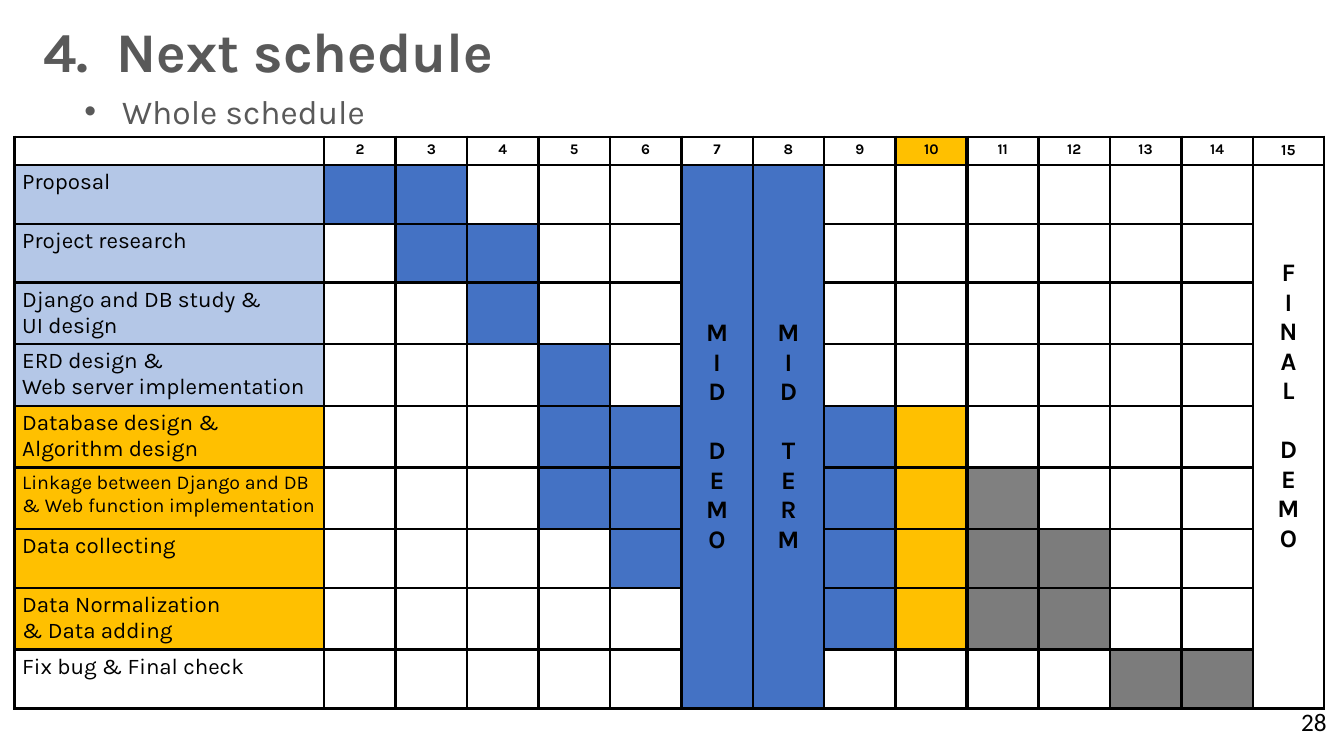
from lxml.etree import SubElement
from pptx import Presentation
from pptx.dml.color import RGBColor
from pptx.enum.text import MSO_ANCHOR as Anchor, PP_ALIGN as Align
from pptx.oxml.ns import qn
from pptx.util import Cm, Pt

FILLS = {".": "FFFFFF", "B": "4472C4", "Y": "FFC000", "G": "7C7C7C", "S": "808080"}
DONE, CURRENT, LATER = "B4C7E7", "FFC000", "FFFFFF"
FIRST_WEEK, CURRENT_WEEK = 2, 10
THICK_AFTER = (3, 9)  # columns followed by a heavier rule

# label lines, label size, label fill, row height, weeks 2 to 15
TASKS = [
    (["Proposal"], 16, DONE, 1.48, "BB...BB......."),
    (["Project research"], 16, DONE, 1.48, ".BB..BB......."),
    (["Django and DB study &", "UI design"], 16, DONE, 1.55, "..B..BB......."),
    (["ERD design &", "Web server implementation"], 16, DONE, 1.55, "...B.BB......."),
    (["Database design & Algorithm design"], 16, CURRENT, 1.55, "...BBBBBY....."),
    (["Linkage between Django and DB & Web function implementation"], 14, CURRENT, 1.55,
     "...BBBBBYS...."),
    (["Data collecting"], 16, CURRENT, 1.48, "....BBBBYGG..."),
    (["Data Normalization", "& Data adding"], 16, CURRENT, 1.55, ".....BBBYGG..."),
    (["Fix bug & Final check"], 16, LATER, 1.48, ".....BB....GG."),
]
MILESTONES = {6: "MID DEMO", 7: "MID TERM", 14: "FINAL DEMO"}


def rgb(value):
    return RGBColor.from_string(value)


def write(frame, lines, size, color="000000", bold=False, align=Align.LEFT, font="Karla"):
    """Put one paragraph per line into the text frame."""
    for index, line in enumerate(lines):
        paragraph = frame.add_paragraph() if index else frame.paragraphs[0]
        paragraph.alignment = align
        run = paragraph.add_run()
        run.text = line
        run.font.name, run.font.size, run.font.bold = font, Pt(size), bold
        run.font.color.rgb = rgb(color)


presentation = Presentation()
presentation.slide_width, presentation.slide_height = Cm(33.87), Cm(19.05)
slide = presentation.slides.add_slide(presentation.slide_layouts[6])

# Headings
title = slide.shapes.add_textbox(Cm(0.84), Cm(0.3), Cm(15.54), Cm(1.96)).text_frame
title.word_wrap = True
write(title, ["4.  Next schedule"], 40, "595959", bold=True)

subtitle = slide.shapes.add_textbox(Cm(1.88), Cm(2.16), Cm(32), Cm(1.27)).text_frame
subtitle.word_wrap = True
write(subtitle, ["Whole schedule"], 24, "595959")
bullet_properties = subtitle.paragraphs[0]._p.get_or_add_pPr()
bullet_properties.set("marL", str(Cm(0.95)))
bullet_properties.set("indent", str(-Cm(0.95)))
SubElement(bullet_properties, qn("a:buFont"), typeface="Arial")
SubElement(bullet_properties, qn("a:buChar"), char="•")

# Schedule grid
row_total, column_total = len(TASKS) + 1, 15
table = slide.shapes.add_table(
    row_total, column_total, Cm(0.36), Cm(3.45), Cm(33.01), Cm(14.38)).table
table.first_row = table.horz_banding = False
for index, column in enumerate(table.columns):
    column.width = Cm(1.8) if index else Cm(7.81)
heights = [0.71] + [task[3] for task in TASKS]
for row, height in zip(table.rows, heights):
    row.height = Cm(height)

# Borders and margins
for row in range(row_total):
    for column in range(column_total):
        cell = table.cell(row, column)
        cell.margin_left = cell.margin_right = Cm(0.2)
        cell.margin_top = cell.margin_bottom = Cm(0.1)
        thick_sides = {"L": column - 1 in THICK_AFTER, "R": column in THICK_AFTER}
        for side in "LRTB":
            width = Pt(2.55 if thick_sides.get(side) else 1.98)
            line = SubElement(cell._tc.get_or_add_tcPr(), qn(f"a:ln{side}"), w=str(width))
            SubElement(SubElement(line, qn("a:solidFill")), qn("a:srgbClr"), val="000000")

# Week numbers
corner = table.cell(0, 0)
corner.fill.solid()
corner.fill.fore_color.rgb = rgb("FFFFFF")
SubElement(corner.text_frame.paragraphs[0]._p, qn("a:endParaRPr"), sz="1050")
for column in range(1, column_total):
    week = column + FIRST_WEEK - 1
    cell = table.cell(0, column)
    cell.fill.solid()
    cell.fill.fore_color.rgb = rgb(CURRENT if week == CURRENT_WEEK else "FFFFFF")
    write(cell.text_frame, [str(week)], 11 if week == 15 else 10.5, bold=True,
          align=Align.CENTER)

# Tasks
for row, (lines, size, label_fill, height, weeks) in enumerate(TASKS, start=1):
    write(table.cell(row, 0).text_frame, lines, size)
    for column, fill in enumerate([label_fill] + [FILLS[mark] for mark in weeks]):
        cell = table.cell(row, column)
        cell.fill.solid()
        cell.fill.fore_color.rgb = rgb(fill)

# Milestones, one letter a line
for column, name in MILESTONES.items():
    cell = table.cell(1, column)
    cell.merge(table.cell(row_total - 1, column))
    write(cell.text_frame, name.replace(" ", ""), 18, bold=True, align=Align.CENTER)
    cell.text_frame.paragraphs[name.index(" ")].space_before = Pt(21)
    if name == "FINAL DEMO":
        cell.margin_top = Cm(2.35)
    else:
        cell.vertical_anchor = Anchor.MIDDLE

# Page number
page_number = slide.shapes.add_textbox(Cm(32.54), Cm(17.68), Cm(1.17), Cm(1.02)).text_frame
page_number.word_wrap = False
write(page_number, ["28"], 18, font="Calibri")

presentation.save("out.pptx")
